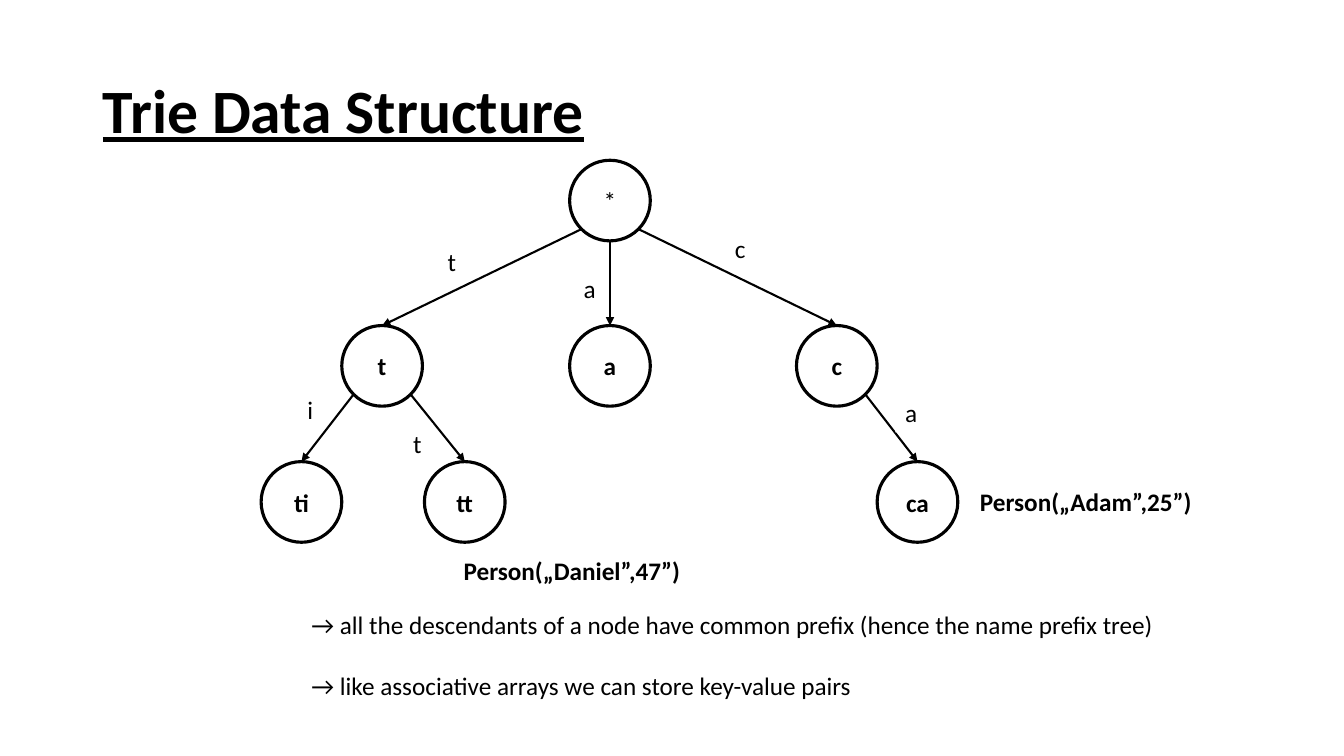
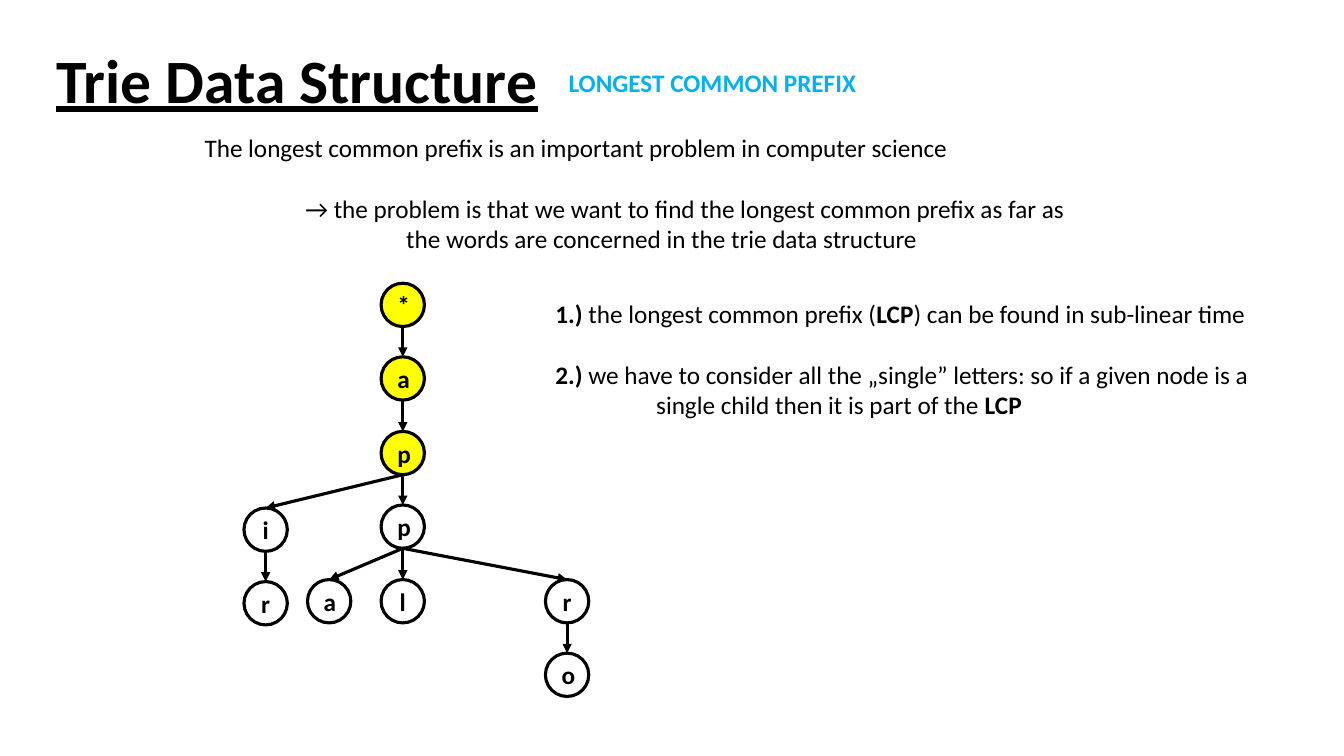
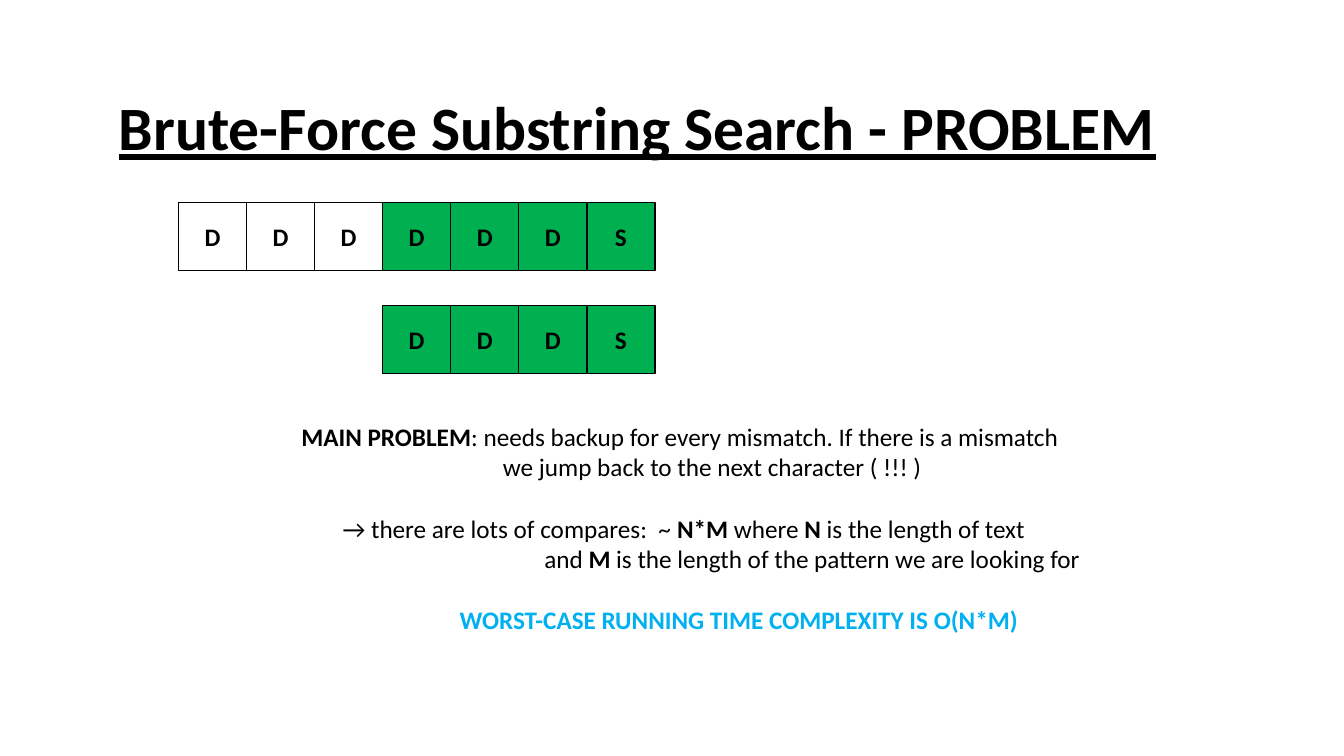
from lxml import etree
from pptx import Presentation
from pptx.dml.color import RGBColor
from pptx.enum.shapes import MSO_CONNECTOR, MSO_SHAPE
from pptx.enum.text import MSO_ANCHOR, PP_ALIGN
from pptx.oxml.ns import qn
from pptx.util import Emu, Pt

OVAL = MSO_SHAPE.OVAL
RECTANGLE = MSO_SHAPE.RECTANGLE
STRAIGHT = MSO_CONNECTOR.STRAIGHT
MIDDLE = MSO_ANCHOR.MIDDLE
LEFT = PP_ALIGN.LEFT
CENTER = PP_ALIGN.CENTER

EMU_PER_PX = 9144
FONT = "Calibri"
BODY_SIZE = 18
TITLE_SIZE = 44
BLANK_LINE = 22
TAB = 100
DIAGONAL = 0.71
BLACK = "000000"
WHITE = "FFFFFF"
YELLOW = "FFFF00"
GREEN = "00B050"
BLUE = "00B0F0"


def px(length):
    """Turn px (100 to the inch) into EMU."""
    return Emu(round(length * EMU_PER_PX))


def color(value):
    """Turn a hex string into a colour."""
    return RGBColor.from_string(value)


def style_font(font, size=BODY_SIZE, fill=BLACK):
    """Apply the shared typeface with a size and a colour."""
    font.name = FONT
    font.size = Pt(size)
    font.color.rgb = color(fill)


def write(paragraph, text, fill=BLACK):
    """Write text in which the parts between bars are bold."""
    style_font(paragraph.font, fill=fill)
    for index, part in enumerate(text.split("|")):
        if part:
            run = paragraph.add_run()
            run.text = part
            run.font.bold = index % 2 == 1


def add_titled_slide(presentation, text, left, top):
    """Add a title-only slide with its underlined title in place."""
    slide = presentation.slides.add_slide(presentation.slide_layouts[5])
    title = slide.shapes.title
    title.left, title.top = px(left), px(top)
    title.width, title.height = px(1150), px(145)
    title.text_frame.text = text
    title.text_frame.vertical_anchor = MIDDLE
    paragraph = title.text_frame.paragraphs[0]
    paragraph.alignment = LEFT
    paragraph.line_spacing = 0.9
    style_font(paragraph.font, TITLE_SIZE)
    paragraph.font.bold = True
    paragraph.font.underline = True
    return slide


def add_text(slide, left, top, width, height, lines):
    """Add a text box of (text, tabs, blank line before) lines."""
    box = slide.shapes.add_textbox(px(left), px(top), px(width), px(height))
    frame = box.text_frame
    frame.word_wrap = True
    for index, (text, tabs, blank_before) in enumerate(lines):
        paragraph = frame.add_paragraph() if index else frame.paragraphs[0]
        write(paragraph, text)
        if tabs:
            paragraph._p.get_or_add_pPr().set("marL", str(px(tabs * TAB)))
        if blank_before:
            paragraph.space_before = Pt(BLANK_LINE)
    return box


def add_label(slide, text, left, top, width, fill=BLACK):
    """Add a one-line label on a white ground."""
    box = slide.shapes.add_textbox(px(left), px(top), px(width), px(40))
    box.fill.solid()
    box.fill.fore_color.rgb = color(WHITE)
    box.text_frame.word_wrap = False
    write(box.text_frame.paragraphs[0], text, fill)


def add_box(slide, kind, text, left, top, size, fill, line_width):
    """Add an outlined square or circle with centred text."""
    shape = slide.shapes.add_shape(kind, px(left), px(top), px(size), px(size))
    shape.shadow.inherit = False
    shape.fill.solid()
    shape.fill.fore_color.rgb = color(fill)
    shape.line.color.rgb = color(BLACK)
    shape.line.width = Pt(line_width)
    shape.text_frame.vertical_anchor = MIDDLE
    paragraph = shape.text_frame.paragraphs[0]
    paragraph.alignment = CENTER
    write(paragraph, text)
    return shape


def add_arrow(slide, parent, child, side, line_width):
    """Join a circle's lower edge (side -1, 0 or 1) to the top of another."""
    radius = parent.width / 2
    rise = DIAGONAL if side else 1
    start_x = round(parent.left + radius * (1 + side * DIAGONAL))
    start_y = round(parent.top + radius * (1 + rise))
    arrow = slide.shapes.add_connector(
        STRAIGHT, start_x, start_y, child.left + child.width // 2, child.top)
    arrow.end_connect(child, 0)
    arrow.line.color.rgb = color(BLACK)
    arrow.line.width = Pt(line_width)
    etree.SubElement(arrow.get_or_add_ln(), qn("a:tailEnd"), type="triangle")
    etree.SubElement(arrow._element.spPr, qn("a:effectLst"))


def add_tree(slide, nodes, size, arrow_width):
    """Add (text, left, top, fill, parent index, side) nodes and their arrows."""
    circles = [add_box(slide, OVAL, text, left, top, size, fill, 2.25)
               for text, left, top, fill, _, _ in nodes]
    for circle, (*_, parent, side) in zip(circles, nodes):
        if parent is not None:
            add_arrow(slide, circles[parent], circle, side, arrow_width)


def add_cells(slide, letters, first_column, first_match, top):
    """Add a row of letter cells, green from the first matching column on."""
    for column, letter in enumerate(letters, first_column):
        fill = GREEN if column >= first_match else WHITE
        add_box(slide, RECTANGLE, f"|{letter}|", 177 + 67.5 * column, top,
                67.5, fill, 1)


def build_trie(presentation):
    """Build the slide that introduces the trie."""
    slide = add_titled_slide(presentation, "Trie Data Structure", 92, 40)
    add_tree(slide, [
        ("*", 565, 159, WHITE, None, 0),
        ("|t|", 339, 323, WHITE, 0, -1),
        ("|a|", 565, 323, WHITE, 0, 0),
        ("|c|", 790, 323, WHITE, 0, 1),
        ("|ti|", 259, 458, WHITE, 1, -1),
        ("|tt|", 421, 458, WHITE, 1, 1),
        ("|ca|", 870, 458, WHITE, 3, 1),
    ], 80, 1.5)
    for text, left, top, width in [
        ("t", 434, 239, 29),
        ("a", 569, 266, 32),
        ("c", 719, 227, 31),
        ("a", 888, 389, 32),
        ("i", 295, 386, 26),
        ("t", 400, 420, 29),
        ("|Person(„Adam”,25”)|", 962, 478, 232),
        ("|Person(„Daniel”,47”)|", 450, 546, 237),
    ]:
        add_label(slide, text, left, top, width)
    add_text(slide, 299, 600, 881, 131, [
        ("→ all the descendants of a node have common prefix "
         "(hence the name prefix tree)", 0, False),
        ("→ like associative arrays we can store key-value pairs", 0, True),
    ])


def build_longest_prefix(presentation):
    """Build the slide on the longest common prefix."""
    slide = add_titled_slide(presentation, "Trie Data Structure", 46, 10)
    add_label(slide, "|LONGEST COMMON PREFIX|", 554, 62, 308, BLUE)
    add_text(slide, 193, 126, 885, 131, [
        ("The longest common prefix is an important problem "
         "in computer science", 0, False),
        ("→ the problem is that we want to find the longest "
         "common prefix as far as", 1, True),
        ("the words are concerned in the trie data structure", 2, False),
    ])
    tops = [281 + 147 * level // 2 for level in range(6)]
    add_tree(slide, [
        ("|*|", 378, tops[0], YELLOW, None, 0),
        ("|a|", 378, tops[1], YELLOW, 0, 0),
        ("|p|", 378, tops[2], YELLOW, 1, 0),
        ("|p|", 378, tops[3], WHITE, 2, 0),
        ("|l|", 378, tops[4], WHITE, 3, 0),
        ("|i|", 242, tops[3] + 3, WHITE, 2, 0),
        ("|r|", 242, tops[4] + 2, WHITE, 5, 0),
        ("|r|", 541, tops[4], WHITE, 3, 0),
        ("|o|", 541, tops[5], WHITE, 7, 0),
        ("|a|", 305, tops[4], WHITE, 3, 0),
    ], 43, 2.25)
    add_text(slide, 541, 291, 717, 131, [
        ("|1.) |the longest common prefix (|LCP|) can be found "
         "in sub-linear time", 0, False),
        ("|2.) |we have to consider all the „single” letters: "
         "so if a given node is a", 0, True),
        ("single child then it is part of the |LCP|", 1, False),
    ])


def build_brute_force(presentation):
    """Build the slide on brute-force substring search."""
    slide = add_titled_slide(
        presentation, "Brute-Force Substring Search - PROBLEM", 108, 57)
    add_cells(slide, "DDDDDDS", 0, 3, 201)
    add_cells(slide, "DDDS", 3, 3, 303)
    add_text(slide, 189, 413, 886, 70, [
        ("|MAIN PROBLEM|: needs backup for every mismatch. "
         "If there is a mismatch", 1, False),
        ("we jump back to the next character ( !!! )", 3, False),
    ])
    compares = add_text(slide, 330, 504, 784, 131, [
        ("→ there are lots of compares:  ~ |N*M| where |N| "
         "is the length of text", 0, False),
        ("and |M| is the length of the pattern we are looking for", 2, False),
        ("|WORST-CASE RUNNING TIME COMPLEXITY IS O(N*M)|", 1.16, True),
    ])
    compares.text_frame.paragraphs[-1].font.color.rgb = color(BLUE)


def main():
    """Build and save the presentation."""
    presentation = Presentation()
    presentation.slide_width = px(1333)
    presentation.slide_height = px(750)
    build_trie(presentation)
    build_longest_prefix(presentation)
    build_brute_force(presentation)
    presentation.save("out.pptx")


if __name__ == "__main__":
    main()
